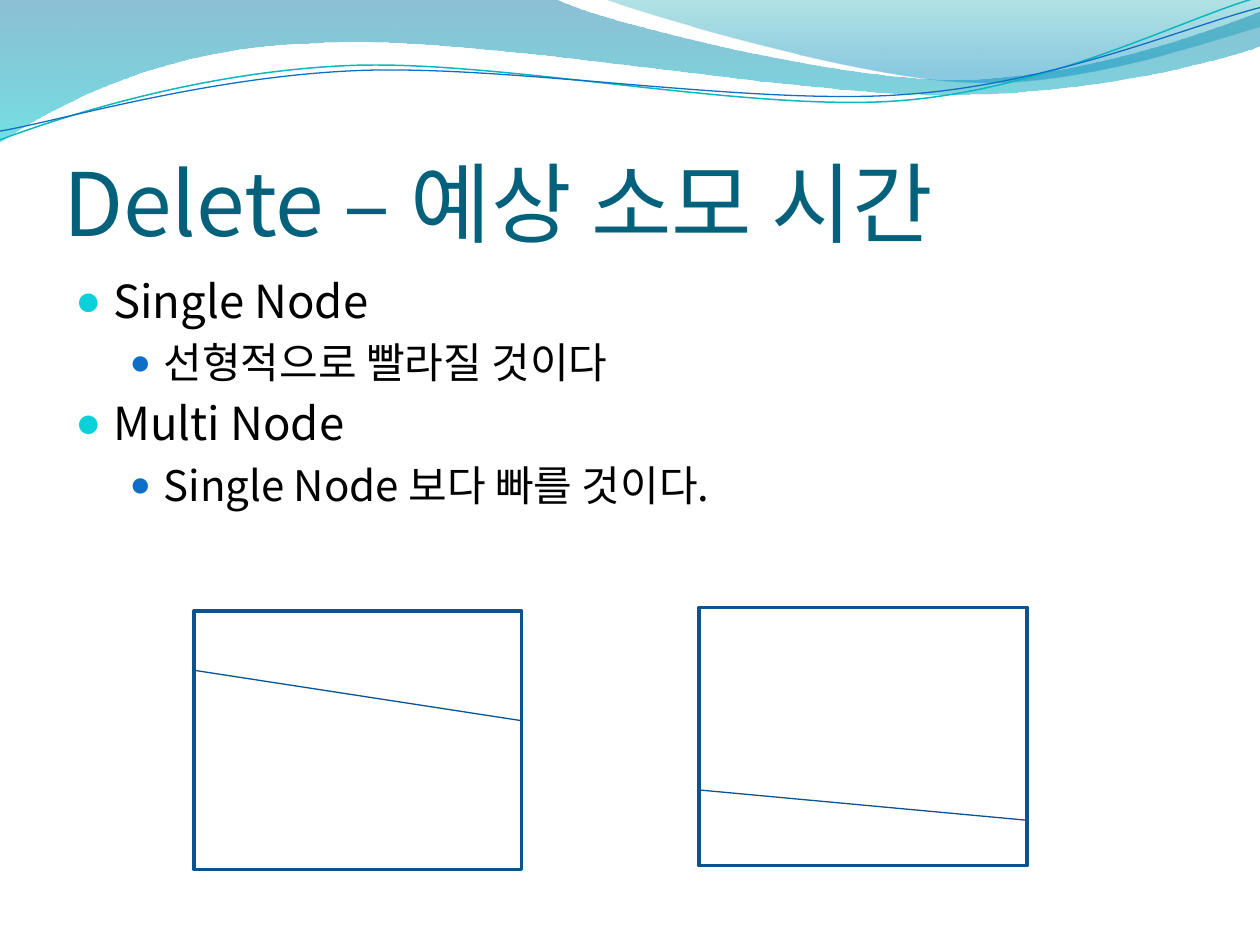
from dataclasses import dataclass
from math import cos, radians, sin

from lxml import etree
from pptx import Presentation
from pptx.dml.color import RGBColor as RGB
from pptx.enum.shapes import MSO_CONNECTOR as CONN, MSO_SHAPE as SHAPE
from pptx.enum.text import MSO_ANCHOR as ANCHOR, MSO_AUTO_SIZE as AUTO, PP_ALIGN as ALIGN
from pptx.oxml.ns import qn
from pptx.util import Inches, Pt


@dataclass(frozen=True)
class Theme:
    """Fonts, colours and type sizes of the slide."""
    font: str = "Noto Sans CJK KR"
    bullet_font: str = "Arial"
    title: str = "04617B"
    text: str = "000000"
    paper: str = "FFFFFF"
    frame: str = "0B5292"
    trend: str = "095295"
    teal: str = "0AB8BF"
    blue: str = "0F6FC6"
    title_size: int = 50
    sizes: tuple = (26, 24)
    leading: tuple = (31, 29)
    gap: int = 5
    bullets: tuple = (("0BD0D9", 95), ("0F6FC6", 85))
    indents: tuple = ((0.3, -0.3), (0.7, -0.27))
    wave: tuple = ((0, "0074A1", 45), (1, "00C6CF", 55))
    crest: tuple = ((0, "00A1A9", 30), (0.8, "008BBF", 45))


WAVE = [(0, 0), (4.4, -0.01),
        (4.76, 0.17, 6.64, 0.63, 7.58, 0.63), (8.53, 0.63, 9.58, 0.26, 10, 0.09),
        (10.01, 0.36),
        (9.83, 0.44, 8.7, 0.76, 7.46, 0.75), (6.22, 0.75, 3.82, 0.28, 2.57, 0.34),
        (1.29, 0.36, 0.46, 0.83, -0.01, 1.13), (0, 0)]
CREST = [(4.79, -0.01),
         (5.09, 0.11, 6.82, 0.62, 7.69, 0.65), (8.56, 0.69, 9.61, 0.32, 10, 0.21),
         (10, 0), (4.79, -0.01)]
TEAL_LINE = [(0, 1.11),
             (0.48, 0.93, 1.58, 0.57, 2.77, 0.52), (3.95, 0.47, 5.93, 0.89, 7.13, 0.8),
             (8.33, 0.71, 9.38, 0.15, 9.98, -0.02)]
BLUE_LINE = [(0, 1.04),
             (0.47, 0.96, 1.64, 0.61, 2.83, 0.56), (4.03, 0.51, 5.97, 0.84, 7.17, 0.75),
             (8.36, 0.67, 9.41, 0.21, 10, 0.06)]
TILT = 2.7
BODY = [(0, "Single Node"), (1, "선형적으로 빨라질 것이다"),
        (0, "Multi Node"), (1, "Single Node 보다 빠를 것이다.")]
CHARTS = [(1.54, 4.85, 5.32, 5.72), (5.55, 4.82, 6.27, 6.51)]
CHART_W, CHART_H = 2.6, 2.05


def turn(segments, degrees, cx, cy):
    """Rotate every point of a path clockwise about a centre."""
    c, s = cos(radians(degrees)), sin(radians(degrees))
    return [tuple(v for x, y in zip(seg[::2], seg[1::2])
                  for v in (cx + (x - cx) * c - (y - cy) * s,
                            cy + (x - cx) * s + (y - cy) * c))
            for seg in segments]


class SlideBuilder:
    """Hold the theme and the current slide and add elements to it."""

    def __init__(self, prs, theme):
        """Start a title-only slide."""
        self.theme = theme
        self.s = prs.slides.add_slide(prs.slide_layouts[5])

    def stroke(self, sp, color, width):
        """Set the outline colour and width."""
        sp.line.color.rgb = RGB.from_string(color)
        sp.line.width = Pt(width)

    def format(self, target, **values):
        """Apply format values to an object."""
        for name, value in values.items():
            setattr(target, name, value)

    def run(self, p, text, size, color):
        """Add one styled run to a paragraph."""
        r = p.add_run()
        r.text = text
        self.format(r.font, name=self.theme.font, size=Pt(size), bold=False)
        r.font.color.rgb = RGB.from_string(color)

    def outline(self, segments, close):
        """Add a freeform whose six-number segments are cubic curves."""
        points = [(Inches(x), Inches(y))
                  for seg in segments for x, y in zip(seg[::2], seg[1::2])]
        fb = self.s.shapes.build_freeform(*points[0])
        fb.add_line_segments(points[1:], close=close)
        sp = fb.convert_to_shape()
        sp.shadow.inherit = False
        lines = iter(list(sp.element.spPr.iter(qn("a:lnTo"))))
        for seg in segments[1:]:
            group = [next(lines) for _ in seg[::2]]
            if len(group) == 3:
                curve = etree.Element(qn("a:cubicBezTo"))
                group[0].addprevious(curve)
                for line in group:
                    curve.append(line[0])
                    line.getparent().remove(line)
        return sp

    def ribbon(self, segments, stops):
        """Add a closed band with a translucent vertical gradient."""
        sp = self.outline(segments, True)
        sp.line.fill.background()
        sp.fill.gradient()
        sp.fill.gradient_angle = 270
        for stop, (position, color, _) in zip(sp.fill.gradient_stops, stops):
            stop.position = position
            stop.color.rgb = RGB.from_string(color)
        for clr, (_, _, opacity) in zip(sp.element.spPr.iter(qn("a:srgbClr")), stops):
            etree.SubElement(clr, qn("a:alpha"), val=str(opacity * 1000))

    def curve(self, segments, cy, color, width):
        """Add an open curved line, tilted about its centre."""
        sp = self.outline(turn(segments, TILT, 4.99, cy), False)
        sp.rotation = -TILT
        sp.fill.background()
        self.stroke(sp, color, width)

    def title(self, text, x, y, w, h):
        """Move, fill and format the title placeholder."""
        sp = self.s.shapes.title
        self.s.shapes.element.append(sp.element)
        sp.left, sp.top, sp.width, sp.height = map(Inches, (x, y, w, h))
        self.format(sp.text_frame, word_wrap=True, auto_size=AUTO.NONE,
                    vertical_anchor=ANCHOR.BOTTOM, margin_left=0, margin_right=0,
                    margin_top=Inches(0.05), margin_bottom=0)
        p = sp.text_frame.paragraphs[0]
        p.alignment = ALIGN.LEFT
        self.run(p, text, self.theme.title_size, self.theme.title)

    def bullet(self, p, level):
        """Give a paragraph the indent and bullet of its level."""
        pPr = p._p.get_or_add_pPr()
        for name, value in zip(("marL", "indent"), self.theme.indents[level]):
            pPr.set(name, str(Inches(value)))
        color, size = self.theme.bullets[level]
        clr = etree.SubElement(pPr, qn("a:buClr"))
        etree.SubElement(clr, qn("a:srgbClr"), val=color)
        etree.SubElement(pPr, qn("a:buSzPct"), val=str(size * 1000))
        etree.SubElement(pPr, qn("a:buFont"), typeface=self.theme.bullet_font)
        etree.SubElement(pPr, qn("a:buChar"), char="●")

    def body(self, items, x, y, w, h):
        """Add the bulleted list."""
        tf = self.s.shapes.add_textbox(*map(Inches, (x, y, w, h))).text_frame
        self.format(tf, word_wrap=True, auto_size=AUTO.NONE)
        for i, (level, text) in enumerate(items):
            p = tf.add_paragraph() if i else tf.paragraphs[0]
            self.format(p, level=level, line_spacing=Pt(self.theme.leading[level]),
                        space_after=Pt(self.theme.gap))
            self.bullet(p, level)
            self.run(p, text, self.theme.sizes[level], self.theme.text)

    def frame(self, x, y, w, h):
        """Add an outlined chart frame."""
        sp = self.s.shapes.add_shape(SHAPE.RECTANGLE, *map(Inches, (x, y, w, h)))
        sp.shadow.inherit = False
        sp.fill.solid()
        sp.fill.fore_color.rgb = RGB.from_string(self.theme.paper)
        self.stroke(sp, self.theme.frame, 2)

    def trend(self, x1, y1, x2, y2):
        """Add a straight trend line."""
        sp = self.s.shapes.add_connector(CONN.STRAIGHT, *map(Inches, (x1, y1, x2, y2)))
        self.stroke(sp, self.theme.trend, 0.75)
        etree.SubElement(sp.element.spPr, qn("a:effectLst"))


def main():
    """Build and save the slide."""
    theme = Theme()
    prs = Presentation()
    prs.slide_width, prs.slide_height = Inches(10), Inches(7.5)
    b = SlideBuilder(prs, theme)
    b.ribbon(WAVE, theme.wave)
    b.ribbon(CREST, theme.crest)
    b.curve(TEAL_LINE, 0.57, theme.teal, 0.85)
    b.curve(BLUE_LINE, 0.59, theme.blue, 0.75)
    b.title("Delete – 예상 소모 시간", 0.5, 0.77, 9, 1.25)
    b.body(BODY, 0.5, 2.12, 9, 4.8)
    for x, y, _, _ in CHARTS:
        b.frame(x, y, CHART_W, CHART_H)
    for x, _, start, end in CHARTS:
        b.trend(x, start, x + CHART_W, end)
    prs.save("out.pptx")


if __name__ == "__main__":
    main()
